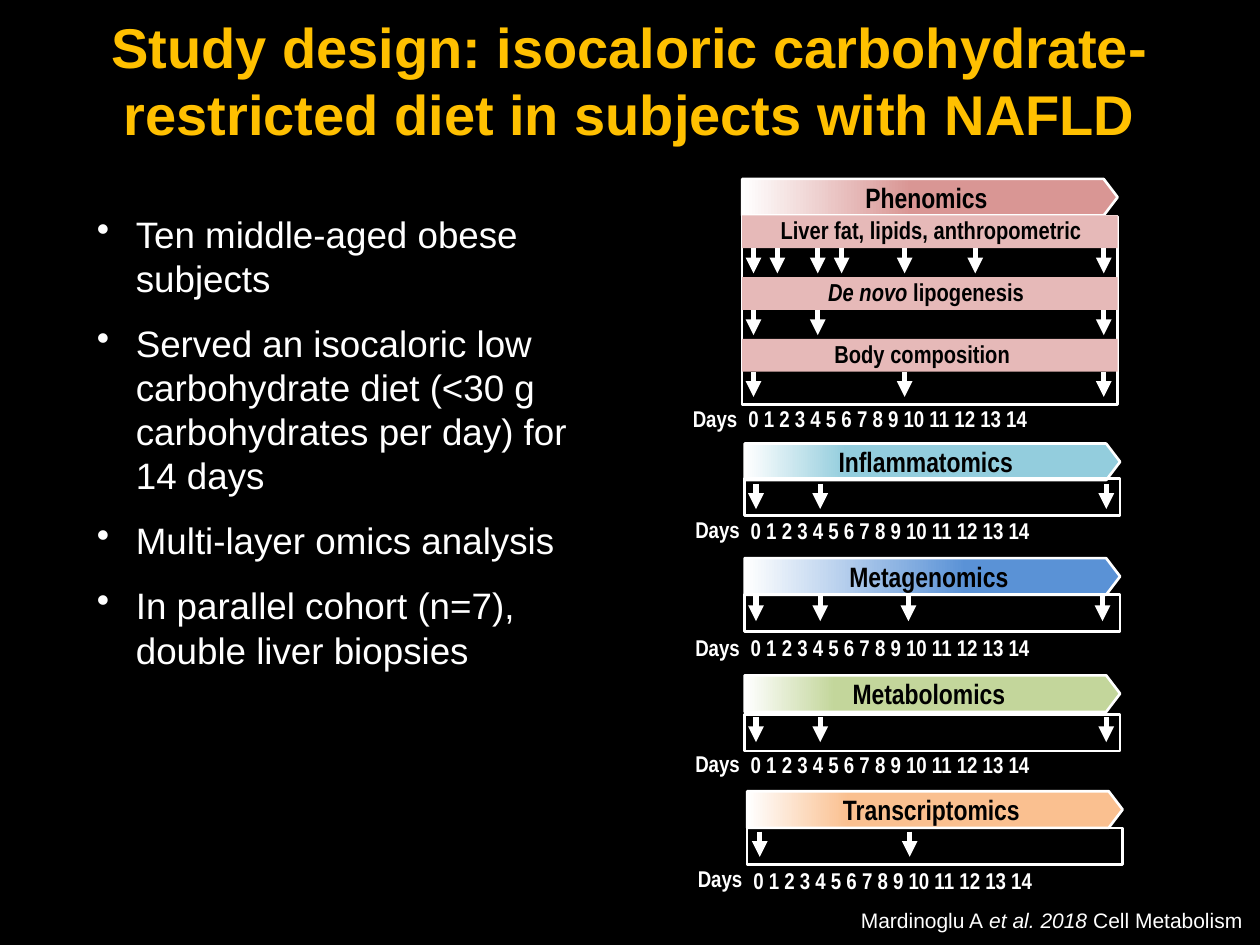
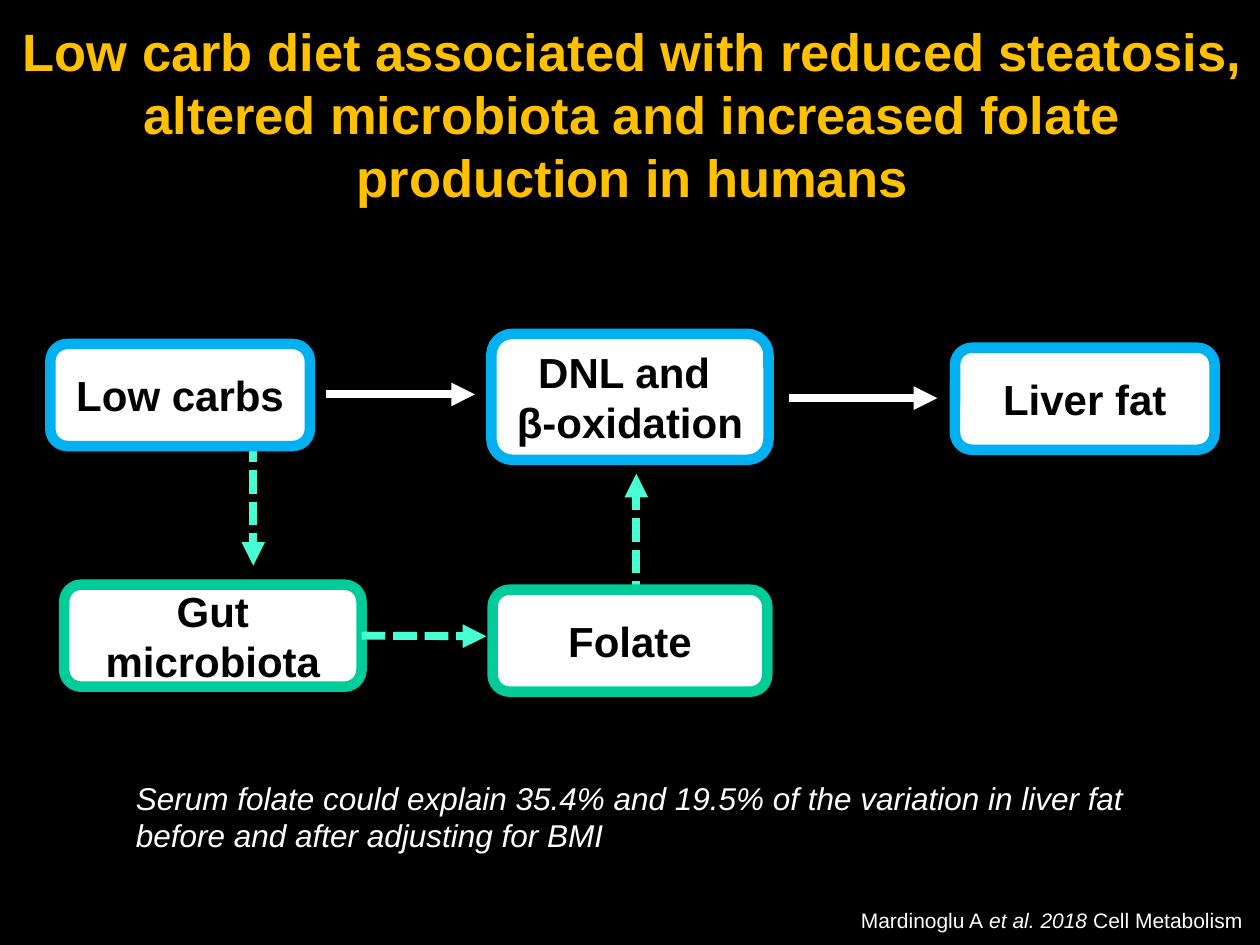
import lxml.etree
import pptx
import pptx.dml.color
import pptx.enum.dml
import pptx.enum.shapes
import pptx.enum.text
import pptx.oxml.ns
import pptx.util

PX = 9144
COLORS = {
    "black": "000000", "white": "FFFFFF", "title": "FFC000",
    "blue": "00B0F0", "green": "00CC99", "mint": "47FFD1",
    "rose": "D99694", "pale_rose": "E6B9B8", "aqua": "93CDDD",
    "azure": "5A92D6", "lime": "C3D69B", "peach": "FAC090",
}
ALIGN = pptx.enum.text.PP_ALIGN
SHAPES = pptx.enum.shapes.MSO_SHAPE
MIDDLE = pptx.enum.text.MSO_ANCHOR.MIDDLE
NARROW = "Arial Narrow"
DAY_SCALE = " ".join(str(day) for day in range(15))
BULLETS = (
    "Ten middle-aged obese subjects",
    "Served an isocaloric low carbohydrate diet (<30 g carbohydrates per day) for 14 days",
    "Multi-layer omics analysis",
    "In parallel cohort (n=7), double liver biopsies",
)
BAND_STEP = 49
PHENOMICS_BANDS = (
    ([("Liver fat, lipids, anthropometric", False)], 577, 324, (9, 28, 60, 79, 129, 185, 287)),
    ([("De novo", True), (" lipogenesis", False)], 629, 212, (9, 60, 287)),
    ([("Body composition", False)], 626, 212, (9, 129, 287)),
)
OMICS_PANELS = (
    ("Inflammatomics ", "aqua", 27, 591, 352, 380, 384, 404, 405, (9, 60, 287)),
    ("Metagenomics", "azure", 59, 591, 443, 472, 473, 498, 498, (9, 60, 130, 284)),
    ("Metabolomics", "lime", 24, 591, 536, 567, 569, 590, 591, (9, 60, 287)),
    ("Transcriptomics", "peach", 27, 593, 628, 657, 660, 681, 683, (10, 129)),
)


def emu(*lengths):
    """Turn px lengths into EMU."""
    return [pptx.util.Emu(length * PX) for length in lengths]


def rgb(name):
    """Look up a named colour."""
    return pptx.dml.color.RGBColor.from_string(COLORS[name])


def add_page(deck, title, title_box, size):
    """Add a black page with its title and citation."""
    page = deck.slides.add_slide(deck.slide_layouts[6])
    page.background.fill.solid()
    page.background.fill.fore_color.rgb = rgb("black")
    box = add_text(page, title_box, [(title, False)], size, "title", bold=True, align=ALIGN.CENTER)
    box.text_frame.vertical_anchor = MIDDLE
    citation = [("Mardinoglu A", False), (" et al. 2018 ", True), ("Cell Metabolism", False)]
    add_text(page, (586, 715, 410, 30), citation, 12, align=ALIGN.RIGHT)
    return page


def style_font(font, size, color, bold, face):
    """Set the face, size, weight and colour of a font."""
    font.name, font.size, font.bold = face, pptx.util.Pt(size), bold
    font.color.rgb = rgb(color)


def fill_paragraph(para, spans, size, color, bold, face, align):
    """Write (text, italic) spans into a paragraph."""
    para.alignment = align
    style_font(para.font, size, color, bold, face)
    for text, italic in spans:
        span = para.add_run()
        span.text = text
        span.font.italic = italic


def add_text(page, place, spans, size, color="white", bold=False, face="Arial",
             align=ALIGN.LEFT, wrap=True):
    """Add a text box with one paragraph."""
    box = page.shapes.add_textbox(*emu(*place))
    box.text_frame.word_wrap = wrap
    box.text_frame.auto_size = pptx.enum.text.MSO_AUTO_SIZE.SHAPE_TO_FIT_TEXT
    fill_paragraph(box.text_frame.paragraphs[0], spans, size, color, bold, face, align)
    return box


def add_bullets(page, place, items):
    """Add a bulleted list."""
    box = page.shapes.add_textbox(*emu(*place))
    box.text_frame.word_wrap = True
    for index, item in enumerate(items):
        para = box.text_frame.paragraphs[0] if index == 0 else box.text_frame.add_paragraph()
        props = para._p.get_or_add_pPr()
        props.set("marL", str(31 * PX))
        props.set("indent", str(-31 * PX))
        lxml.etree.SubElement(props, pptx.oxml.ns.qn("a:buChar")).set("char", "•")
        para.space_after = pptx.util.Pt(12)
        fill_paragraph(para, [(item, False)], 21, "white", False, "Arial", ALIGN.LEFT)


def add_block(page, kind, place, fill=None, line=None, width=1.5):
    """Add a preset shape with an optional plain fill and outline."""
    block = page.shapes.add_shape(kind, *emu(*place))
    block.shadow.inherit = False
    if fill:
        block.fill.solid()
        block.fill.fore_color.rgb = rgb(fill)
    else:
        block.fill.background()
    if line:
        block.line.color.rgb = rgb(line)
        block.line.width = pptx.util.Pt(width)
    else:
        block.line.fill.background()
    return block


def label_block(block, text, size, face):
    """Centre a bold black label in a block."""
    frame = block.text_frame
    frame.word_wrap = True
    frame.vertical_anchor = MIDDLE
    para = frame.paragraphs[0]
    para.alignment = ALIGN.CENTER
    style_font(para.font, size, "black", True, face)
    para.text = text


def add_arrow(page, start, end, color="white", width=3, dashed=False):
    """Add a straight line with a triangular head."""
    arrow = page.shapes.add_connector(
        pptx.enum.shapes.MSO_CONNECTOR.STRAIGHT, *emu(*start, *end))
    arrow.line.color.rgb = rgb(color)
    arrow.line.width = pptx.util.Pt(width)
    if dashed:
        arrow.line.dash_style = pptx.enum.dml.MSO_LINE.SQUARE_DOT
    qn = pptx.oxml.ns.qn
    lxml.etree.SubElement(arrow.get_or_add_ln(), qn("a:tailEnd")).set("type", "triangle")
    lxml.etree.SubElement(arrow._element.spPr, qn("a:effectLst"))
    return arrow


def add_banner(page, name, color, stop, left, top):
    """Add a pentagon banner that fades from white."""
    banner = add_block(page, SHAPES.PENTAGON, (left, top, 298, 29), line="white")
    banner.adjustments[0] = 0.38
    banner.fill.gradient()
    banner.fill.gradient_angle = 0
    for mark, position, tint in zip(banner.fill.gradient_stops, (0, stop / 100), ("white", color)):
        mark.position = position
        mark.color.rgb = rgb(tint)
    label_block(banner, name, 16, NARROW)


def add_visits(page, left, top, offsets):
    """Add an arrow for each sampling day."""
    for offset in offsets:
        add_arrow(page, (left + offset, top), (left + offset, top + 20))


def add_day_scale(page, left, days_top, scale_top):
    """Add the row of day numbers and its caption."""
    add_text(page, (left - 49, days_top, 56, 32), [("Days", False)], 13,
             bold=True, face=NARROW, wrap=False)
    add_text(page, (left - 5, scale_top, 308, 32), [(DAY_SCALE, False)], 13,
             bold=True, face=NARROW, align=ALIGN.JUSTIFY)


def add_phenomics(page):
    """Add the three-band phenomics panel."""
    left = 589
    add_banner(page, "Phenomics", "rose", 45, left, 142)
    add_block(page, SHAPES.RECTANGLE, (left, 172, 298, 149), line="white")
    for index, (spans, text_left, text_width, offsets) in enumerate(PHENOMICS_BANDS):
        top = 171 + index * BAND_STEP
        add_block(page, SHAPES.RECTANGLE, (left, top, 298, 26), fill="pale_rose")
        add_text(page, (text_left, top - 5, text_width, 34), spans, 14, "black",
                 bold=True, face=NARROW, align=ALIGN.CENTER)
        add_visits(page, left, top + 26, offsets)
    add_day_scale(page, left, 316, 316)


def add_omics_panel(page, name, color, stop, left, top, frame_top, visit_top,
                    days_top, scale_top, offsets):
    """Add a banner, its sampling frame and its day scale."""
    add_banner(page, name, color, stop, left, top)
    add_day_scale(page, left, days_top, scale_top)
    add_block(page, SHAPES.RECTANGLE, (left, frame_top, 298, 29), line="white")
    add_visits(page, left, visit_top, offsets)


def add_node(page, text, place, line):
    """Add a white rounded box of the pathway."""
    node = add_block(page, SHAPES.ROUNDED_RECTANGLE, place, "white", line, 6)
    label_block(node, text, 24, "Arial")
    return node


def add_study_page(deck):
    """Build the study design page."""
    page = add_page(
        deck, "Study design: isocaloric carbohydrate-restricted diet in subjects with NAFLD",
        (0, 4, 1000, 118), 32)
    add_phenomics(page)
    for panel in OMICS_PANELS:
        add_omics_panel(page, *panel)
    add_bullets(page, (67, 163, 433, 379), BULLETS)


def add_pathway_page(deck):
    """Build the findings page."""
    page = add_page(
        deck, "Low carb diet associated with reduced steatosis, altered microbiota "
        "and increased folate production in humans", (2, 9, 1000, 162), 30)
    gut = add_node(page, "Gut microbiota", (51, 464, 236, 81), "green")
    add_node(page, "DNL and \vβ-oxidation", (390, 265, 220, 100), "blue")
    add_node(page, "Liver fat", (758, 276, 206, 81), "blue")
    for start, end in (((259, 313), (377, 313)), ((626, 316), (744, 316))):
        add_arrow(page, start, end, width=4.5)
    add_arrow(page, (201, 323), (201, 449), "mint", 4.5, True)
    add_arrow(page, (287, 505), (386, 505), "mint", 4.5, True).begin_connect(gut, 3)
    add_arrow(page, (505, 505), (505, 376), "mint", 4.5, True)
    add_node(page, "Low carbs", (40, 273, 206, 81), "blue")
    add_node(page, "Folate", (391, 468, 218, 81), "green")
    add_text(page, (98, 613, 827, 71), [(
        "Serum folate could explain 35.4% and 19.5% of the variation in liver fat "
        "before and after adjusting for BMI", True)], 18)


def main():
    """Build and save the deck."""
    deck = pptx.Presentation()
    deck.slide_width, deck.slide_height = emu(1000, 750)
    add_study_page(deck)
    add_pathway_page(deck)
    deck.save("out.pptx")


if __name__ == "__main__":
    main()
